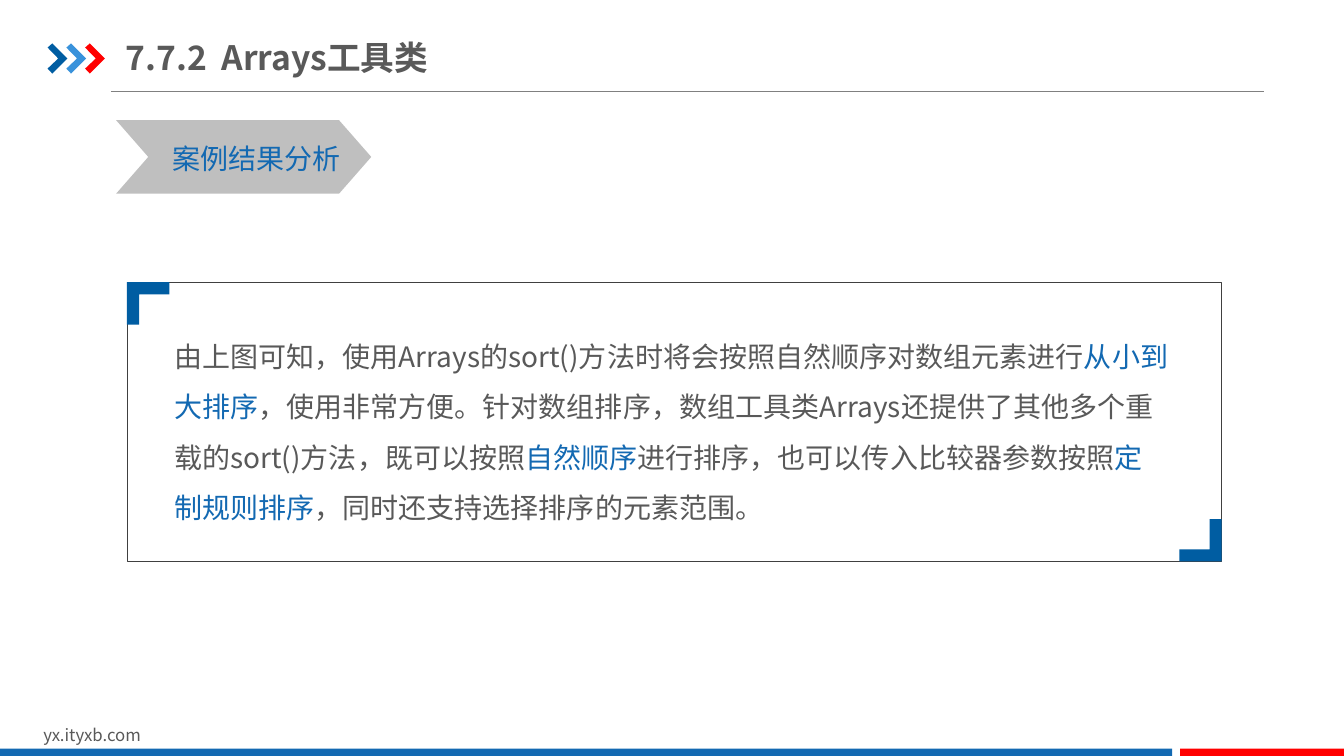
from typing import NamedTuple

from lxml.etree import SubElement
from pptx import Presentation
from pptx.dml.color import RGBColor
from pptx.enum.shapes import MSO_CONNECTOR, MSO_SHAPE
from pptx.enum.text import MSO_ANCHOR, MSO_AUTO_SIZE, PP_ALIGN
from pptx.oxml.ns import qn
from pptx.util import Pt

FONT = "Noto Sans CJK SC"
COLORS = {
    "text": "595959",
    "blue": "1369B2",
    "dark_blue": "005DA2",
    "light_blue": "3992DB",
    "red": "FF0000",
    "banner": "BFBFBF",
    "rule": "808080",
    "frame": "404040",
}


class Box(NamedTuple):
    left: float
    top: float
    width: float
    height: float


class Span(NamedTuple):
    text: str
    color: str = "text"


class Panel(NamedTuple):
    kind: MSO_SHAPE
    box: Box
    color: str


class Label(NamedTuple):
    box: Box
    spans: list[Span]
    size: float
    wrap: bool = True
    line_spacing: float = 1.0


class Outline(NamedTuple):
    """A filled polygon; direction -1 turns it by 180 degrees about its origin."""
    left: float
    top: float
    points: list[tuple[float, float]]
    color: str
    direction: int = 1


FRAME = Box(90.7, 201.6, 781.9, 199.4)
ARROW = [(0, 3), (3.4, 0), (14.2, 10.8), (3.4, 21.6), (0, 18), (7.6, 10.8)]
CORNER = [(0, 0), (30.2, 0), (30.2, 8.6), (8.6, 8.6), (8.6, 30.2), (0, 30.2)]

PANELS = [
    Panel(MSO_SHAPE.RECTANGLE, Box(0, 534.8, 837.2, 6.5), "blue"),
    Panel(MSO_SHAPE.RECTANGLE, Box(843, 534.8, 117, 6.5), "red"),
    Panel(MSO_SHAPE.CHEVRON, Box(83, 85.9, 182.2, 52.4), "banner"),
]
OUTLINES = [
    Outline(34 + 13.4 * index, 31, ARROW, color)
    for index, color in enumerate(["dark_blue", "light_blue", "red"])
] + [
    Outline(FRAME.left, FRAME.top, CORNER, "dark_blue"),
    Outline(FRAME.left + FRAME.width, FRAME.top + FRAME.height, CORNER, "dark_blue", -1),
]
LABELS = [
    Label(Box(23.8, 514, 229, 21.8), [Span("yx.ityxb.com")], 12),
    Label(Box(115.9, 97.2, 134.6, 31.5), [Span("案例结果分析", "blue")], 20, wrap=False),
    Label(Box(117.4, 226.8, 725.8, 149), [
        Span("由上图可知，使用Arrays的sort()方法时将会按照自然顺序对数组元素进行"),
        Span("从小到大排序", "blue"),
        Span("，使用非常方便。针对数组排序，数组工具类Arrays还提供了其他多个"
             "重载的sort()方法，既可以按照"),
        Span("自然顺序", "blue"),
        Span("进行排序，也可以传入比较器参数按照"),
        Span("定制规则排序", "blue"),
        Span("，同时还支持选择排序的元素范围。"),
    ], 20, line_spacing=1.5),
]


def rgb(color: str) -> RGBColor:
    return RGBColor.from_string(COLORS[color])


def in_points(box: Box) -> list[Pt]:
    return [Pt(length) for length in box]


def set_attributes(target: object, values: dict) -> None:
    for name, value in values.items():
        setattr(target, name, value)


def add_run(paragraph, span: Span, size: float, bold: bool = False) -> None:
    run = paragraph.add_run()
    run.text = span.text
    set_attributes(run.font, {"name": FONT, "size": Pt(size), "bold": bold})
    run.font.color.rgb = rgb(span.color)
    SubElement(run.font._element, qn("a:ea"), typeface=FONT)


def paint(shape, color: str) -> None:
    shape.shadow.inherit = False
    shape.fill.solid()
    shape.fill.fore_color.rgb = rgb(color)
    shape.line.fill.background()


def add_panel(slide, panel: Panel) -> None:
    shape = slide.shapes.add_shape(panel.kind, *in_points(panel.box))
    paint(shape, panel.color)
    if panel.kind == MSO_SHAPE.CHEVRON:
        shape.adjustments[0] = 0.438


def add_outline(slide, outline: Outline) -> None:
    points = [
        (Pt(outline.left + outline.direction * x), Pt(outline.top + outline.direction * y))
        for x, y in outline.points
    ]
    builder = slide.shapes.build_freeform(*points[0])
    builder.add_line_segments(points[1:], close=True)
    paint(builder.convert_to_shape(), outline.color)


def add_label(slide, label: Label) -> None:
    text_frame = slide.shapes.add_textbox(*in_points(label.box)).text_frame
    text_frame.word_wrap = label.wrap
    paragraph = text_frame.paragraphs[0]
    paragraph.line_spacing = label.line_spacing
    for span in label.spans:
        add_run(paragraph, span, label.size)


def add_rule(slide) -> None:
    rule = slide.shapes.add_connector(
        MSO_CONNECTOR.STRAIGHT, Pt(79.2), Pt(65.5), Pt(903), Pt(65.5))
    rule.line.color.rgb = rgb("rule")
    rule.line.width = Pt(0.75)
    SubElement(rule._element.spPr, qn("a:effectLst"))


def add_frame(slide) -> None:
    frame = slide.shapes.add_shape(MSO_SHAPE.RECTANGLE, *in_points(FRAME))
    frame.shadow.inherit = False
    frame.fill.background()
    frame.line.color.rgb = rgb("frame")
    frame.line.width = Pt(0.25)


def fill_title(slide) -> None:
    """Put the section number and, at a tab stop, its name into the title."""
    title = slide.shapes.title
    set_attributes(title, dict(zip(Box._fields, in_points(Box(90, 20.9, 368, 39.6)))))
    set_attributes(title.text_frame, {
        "margin_left": 0, "margin_right": 0, "margin_top": Pt(5), "margin_bottom": Pt(5),
        "vertical_anchor": MSO_ANCHOR.MIDDLE, "auto_size": MSO_AUTO_SIZE.NONE,
        "word_wrap": True,
    })
    paragraph = title.text_frame.paragraphs[0]
    tab_stops = SubElement(paragraph._p.get_or_add_pPr(), qn("a:tabLst"))
    SubElement(tab_stops, qn("a:tab"), pos=str(Pt(68.4)), algn="l")
    set_attributes(paragraph, {"alignment": PP_ALIGN.LEFT, "line_spacing": 1.0})
    add_run(paragraph, Span("7.7.2\tArrays工具类"), 24, bold=True)


def main() -> None:
    presentation = Presentation()
    set_attributes(presentation, {"slide_width": Pt(960), "slide_height": Pt(540)})
    slide = presentation.slides.add_slide(presentation.slide_layouts.get_by_name("Title Only"))
    fill_title(slide)
    add_rule(slide)
    for panel in PANELS:
        add_panel(slide, panel)
    for label in LABELS:
        add_label(slide, label)
    add_frame(slide)
    for outline in OUTLINES:
        add_outline(slide, outline)
    presentation.save("out.pptx")


if __name__ == "__main__":
    main()
